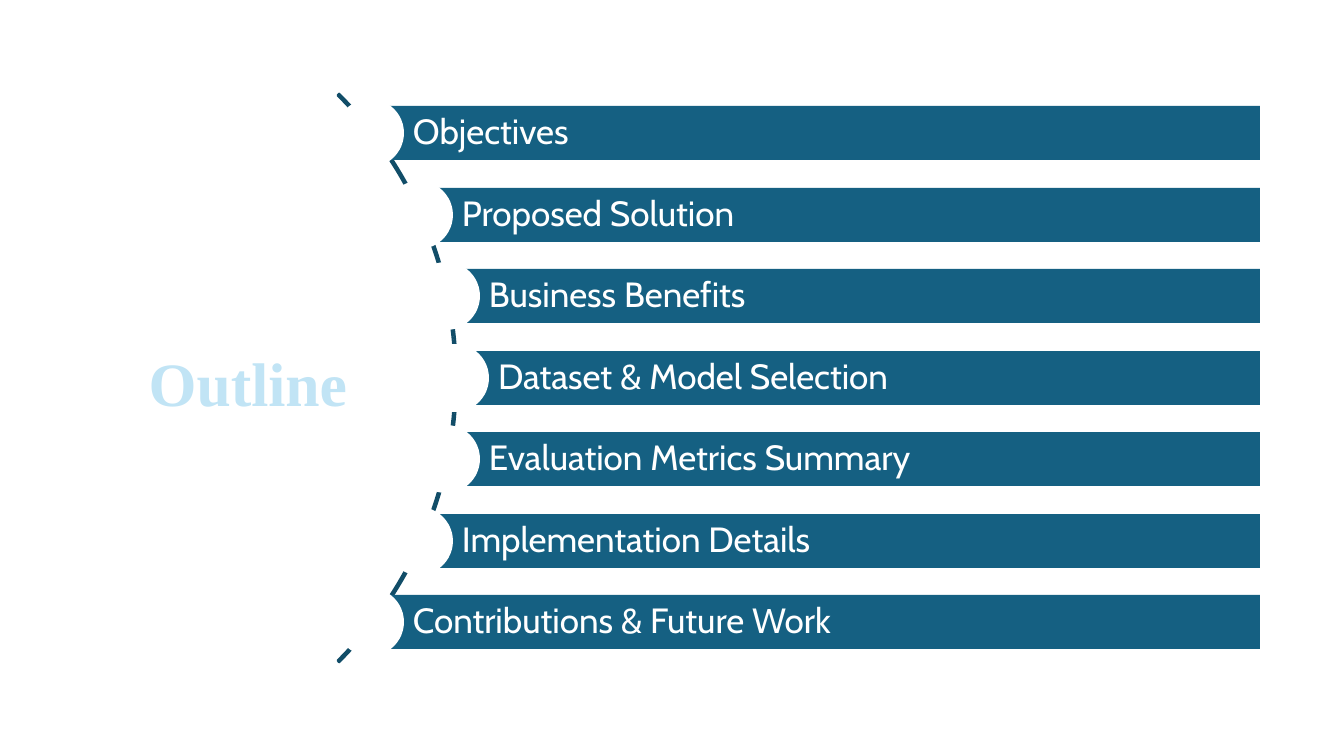
from dataclasses import dataclass

from pptx import Presentation
from pptx import util as u
from pptx.dml.color import RGBColor
from pptx.enum import shapes, text

WIDE, HIGH = 1344, 756
SCALE = 12192000 / WIDE


@dataclass(frozen=True)
class Theme:
    bar: RGBColor = RGBColor(0x15, 0x60, 0x82)
    arc: RGBColor = RGBColor(0x11, 0x4D, 0x68)
    white: RGBColor = RGBColor(0xFF, 0xFF, 0xFF)
    title: RGBColor = RGBColor(0xC1, 0xE4, 0xF5)
    title_font: str = "Times New Roman"
    item_font: str = "Cabin"
    title_size: int = 44
    item_size: int = 25


@dataclass(frozen=True)
class Item:
    label: str
    left: int


THEME = Theme()
ITEMS = [
    Item("Objectives", 370),
    Item("Proposed Solution", 419),
    Item("Business Benefits", 446),
    Item("Dataset & Model Selection", 455),
    Item("Evaluation Metrics Summary", 446),
    Item("Implementation Details", 419),
    Item("Contributions & Future Work", 370),
]
BAR_TOP, BAR_HIGH, BAR_RIGHT = 106, 54, 1260
TWO_STEPS = 163  # the distance over two bars
RADIUS = 34


def px(count: int) -> u.Emu:
    return u.Emu(round(count * SCALE))


def add_shape(slide, kind, left: int, top: int, width: int, height: int, fill=None):
    """Add a shape without line or shadow, filled only if a colour is given."""
    shape = slide.shapes.add_shape(kind, px(left), px(top), px(width), px(height))
    shape.shadow.inherit = False
    shape.line.fill.background()
    if fill is None:
        shape.fill.background()
    else:
        shape.fill.solid()
        shape.fill.fore_color.rgb = fill
    return shape


def style(frame, name: str, size: int, color: RGBColor, align) -> None:
    frame.word_wrap = True
    frame.vertical_anchor = text.MSO_ANCHOR.MIDDLE
    line = frame.paragraphs[0]
    line.alignment = align
    font = line.runs[0].font
    font.name, font.size, font.color.rgb = name, u.Pt(size), color


def add_title(slide) -> None:
    title = slide.shapes.title
    title.left, title.top, title.width, title.height = map(px, (84, 302, 328, 160))
    frame = title.text_frame
    frame.text = "Outline"
    frame.auto_size = text.MSO_AUTO_SIZE.NONE
    style(frame, THEME.title_font, THEME.title_size, THEME.title, text.PP_ALIGN.CENTER)
    frame.paragraphs[0].runs[0].font.bold = True


def add_arc(slide) -> None:
    arc = add_shape(slide, shapes.MSO_SHAPE.BLOCK_ARC, -347, -24, 804, 804)
    for index, value in enumerate((189, 27, 0.003)):
        arc.adjustments[index] = value
    arc.line.color.rgb = THEME.arc
    arc.line.width = u.Pt(1.5)


def add_item(slide, item: Item, top: int) -> None:
    bar = add_shape(slide, shapes.MSO_SHAPE.RECTANGLE, item.left, top,
                    BAR_RIGHT - item.left, BAR_HIGH, THEME.bar)
    frame = bar.text_frame
    frame.text = item.label
    frame.margin_left = px(43)
    frame.margin_top = frame.margin_right = frame.margin_bottom = px(7)
    style(frame, THEME.item_font, THEME.item_size, THEME.white, text.PP_ALIGN.LEFT)
    frame.paragraphs[0].line_spacing = 0.9
    add_shape(slide, shapes.MSO_SHAPE.OVAL, item.left - RADIUS,
              top + BAR_HIGH // 2 - RADIUS, 2 * RADIUS, 2 * RADIUS, THEME.white)


def main() -> None:
    deck = Presentation()
    deck.slide_width, deck.slide_height = px(WIDE), px(HIGH)
    slide = deck.slides.add_slide(deck.slide_layouts[5])
    add_title(slide)
    add_arc(slide)
    for index, item in enumerate(ITEMS):
        add_item(slide, item, BAR_TOP + (index * TWO_STEPS + 1) // 2)
    deck.save("out.pptx")


if __name__ == "__main__":
    main()
